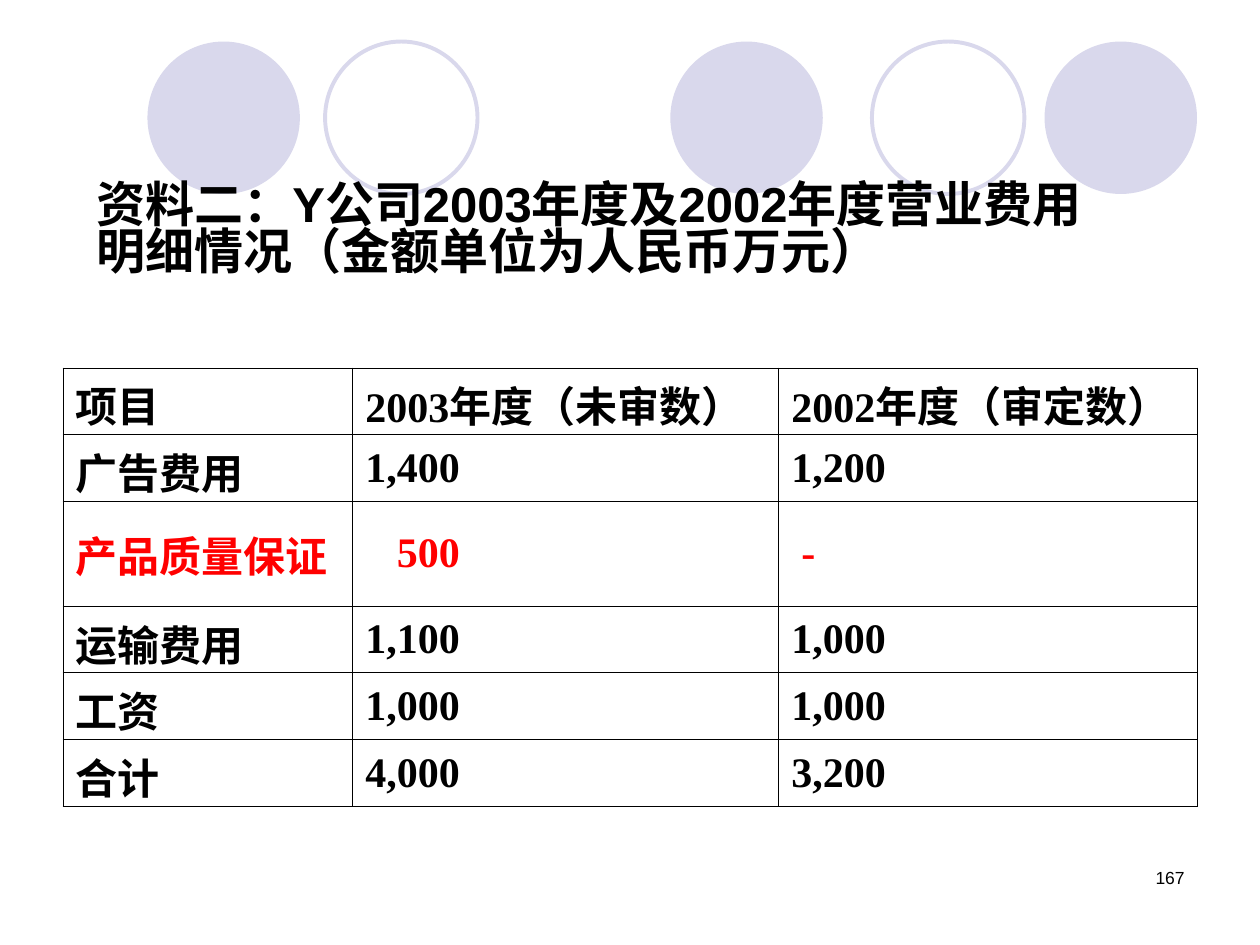
from dataclasses import dataclass

from lxml import etree
from pptx import Presentation
from pptx import util as u
from pptx.dml.color import RGBColor
from pptx.enum import shapes, text
from pptx.oxml import ns


@dataclass(frozen=True)
class Theme:
    ink: RGBColor = RGBColor(0, 0, 0)
    alert: RGBColor = RGBColor(0xFF, 0, 0)
    lilac: RGBColor = RGBColor(0xD9, 0xD8, 0xEC)
    sans: str = "Arial"
    serif: str = "Times New Roman"
    chinese: str = "Noto Sans CJK SC"
    title_size: int = 28
    table_size: int = 24
    number_size: int = 10
    ring_width: float = 2.25
    border_width: float = 0.45


class SlideBuilder:
    def __init__(self, page, theme):
        self.page = page
        self.theme = theme

    def style(self, span, size, latin, color, bold=False):
        span.font.size = u.Pt(size)
        span.font.name = latin
        span.font.color.rgb = color
        span.font.bold = bold
        east_asian = etree.Element(ns.qn("a:ea"), typeface=self.theme.chinese)
        span.font._element.find(ns.qn("a:latin")).addnext(east_asian)

    def circle(self, left, top, size, filled):
        circle = self.page.shapes.add_shape(
            shapes.MSO_SHAPE.OVAL, u.Inches(left), u.Inches(top), u.Inches(size), u.Inches(size))
        circle.shadow.inherit = False
        if filled:
            circle.fill.solid()
            circle.fill.fore_color.rgb = self.theme.lilac
            circle.line.fill.background()
        else:
            circle.fill.background()
            circle.line.color.rgb = self.theme.lilac
            circle.line.width = u.Pt(self.theme.ring_width)

    def textbox(self, left, top, width, height, words, size, bold=False):
        box = self.page.shapes.add_textbox(
            u.Inches(left), u.Inches(top), u.Inches(width), u.Inches(height))
        box.text_frame.word_wrap = True
        box.text_frame.text = words
        para = box.text_frame.paragraphs[0]
        self.style(para.runs[0], size, self.theme.sans, self.theme.ink, bold)
        return box.text_frame, para

    def borders(self, cell):
        properties = cell._tc.get_or_add_tcPr()
        for side in ("lnL", "lnR", "lnT", "lnB"):
            line = etree.SubElement(properties, ns.qn(f"a:{side}"),
                                    w=str(int(u.Pt(self.theme.border_width))))
            fill = etree.SubElement(line, ns.qn("a:solidFill"))
            etree.SubElement(fill, ns.qn("a:srgbClr"), val=str(self.theme.ink))

    def cell(self, cell, spans, color, indent):
        self.borders(cell)
        cell.fill.background()
        cell.vertical_anchor = text.MSO_ANCHOR.MIDDLE
        cell.margin_left = u.Inches(0.1 + indent)
        para = cell.text_frame.paragraphs[0]
        para.alignment = text.PP_ALIGN.JUSTIFY
        for words in spans:
            span = para.add_run()
            span.text = words
            latin = self.theme.serif if words.isascii() else self.theme.chinese
            self.style(span, self.theme.table_size, latin, color, bold=True)

    def table(self, left, top, widths, heights, rows, alert_row, indents):
        frame = self.page.shapes.add_table(
            len(rows), len(widths), u.Inches(left), u.Inches(top),
            u.Inches(sum(widths)), u.Inches(sum(heights)))
        table = frame.table
        table.first_row = table.horz_banding = False
        for column, width in zip(table.columns, widths):
            column.width = u.Inches(width)
        for r, (height, row) in enumerate(zip(heights, rows)):
            table.rows[r].height = u.Inches(height)
            color = self.theme.alert if r == alert_row else self.theme.ink
            for c, spans in enumerate(row):
                self.cell(table.cell(r, c), spans, color, indents.get((r, c), 0))


def main():
    deck = Presentation()
    deck.slide_width, deck.slide_height = u.Inches(10), u.Inches(7.5)
    theme = Theme()
    builder = SlideBuilder(deck.slides.add_slide(deck.slide_layouts[6]), theme)

    # Decorative circles
    for left, filled in ((5.32, True), (8.29, True), (1.17, True), (6.92, False), (2.58, False)):
        builder.circle(left, 0.33, 1.21, filled)

    # Slide number
    _, number = builder.textbox(7.17, 6.83, 2.33, 0.5, "167", theme.number_size)
    number.alignment = text.PP_ALIGN.RIGHT

    # Expense table
    rows = [
        (("项目",), ("2003", "年度（未审数）"), ("2002", "年度（审定数）")),
        (("广告费用",), ("1,400",), ("1,200",)),
        (("产品质量保证",), ("500",), ("-",)),
        (("运输费用",), ("1,100",), ("1,000",)),
        (("工资",), ("1,000",), ("1,000",)),
        (("合计",), ("4,000",), ("3,200",)),
    ]
    warranty = 2
    heights = [0.83 if r == warranty else 0.53 for r in range(len(rows))]
    builder.table(0.5, 2.92, (2.3, 3.38, 3.32), heights, rows, warranty,
                  indents={(warranty, 1): 0.25, (warranty, 2): 0.08})

    # Title
    frame, title = builder.textbox(
        0.67, 1.42, 8.17, 0.85,
        "资料二：Y公司2003年度及2002年度营业费用明细情况（金额单位为人民币万元）",
        theme.title_size, bold=True)
    frame.auto_size = text.MSO_AUTO_SIZE.SHAPE_TO_FIT_TEXT
    title.line_spacing = 0.8

    deck.save("out.pptx")


if __name__ == "__main__":
    main()
